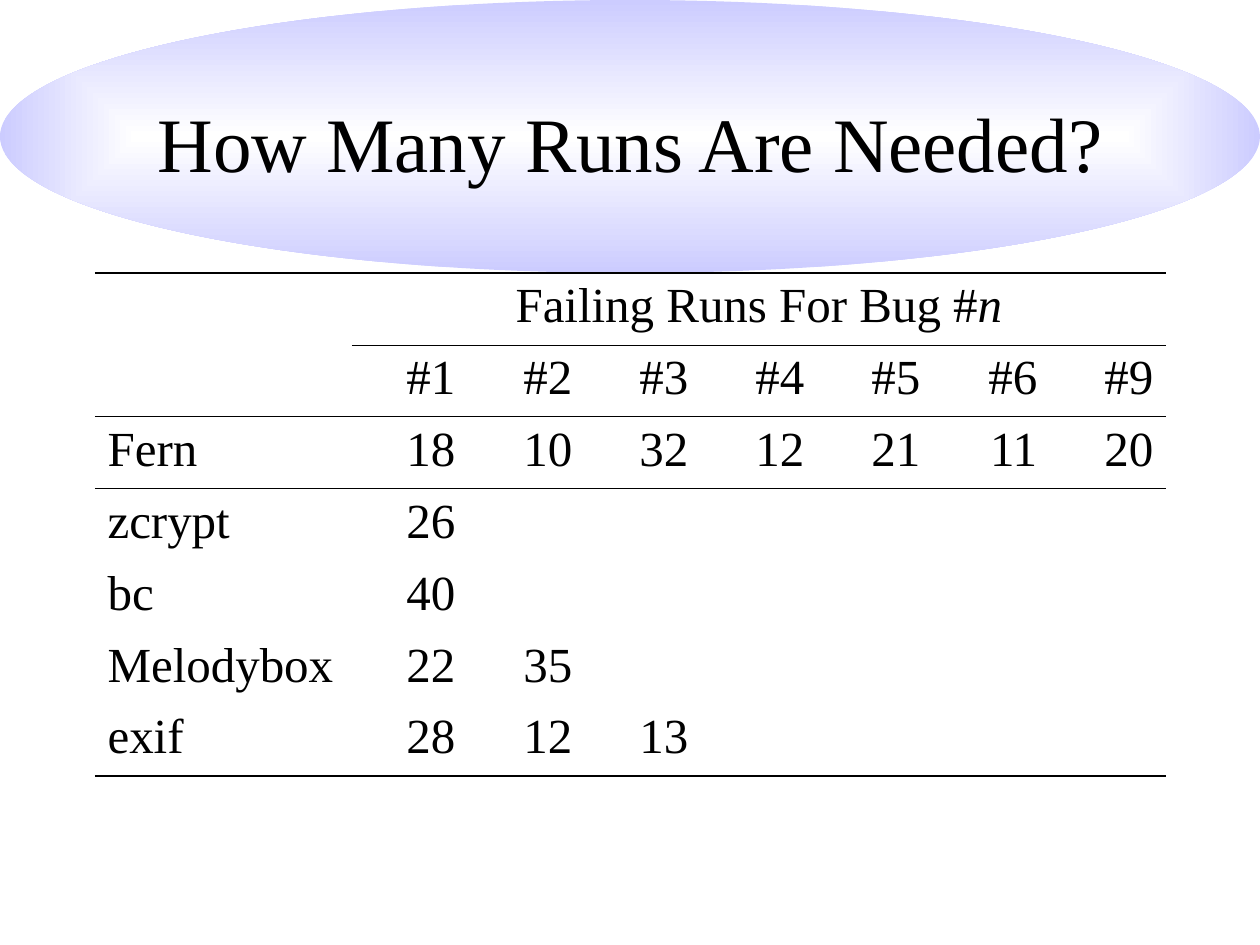
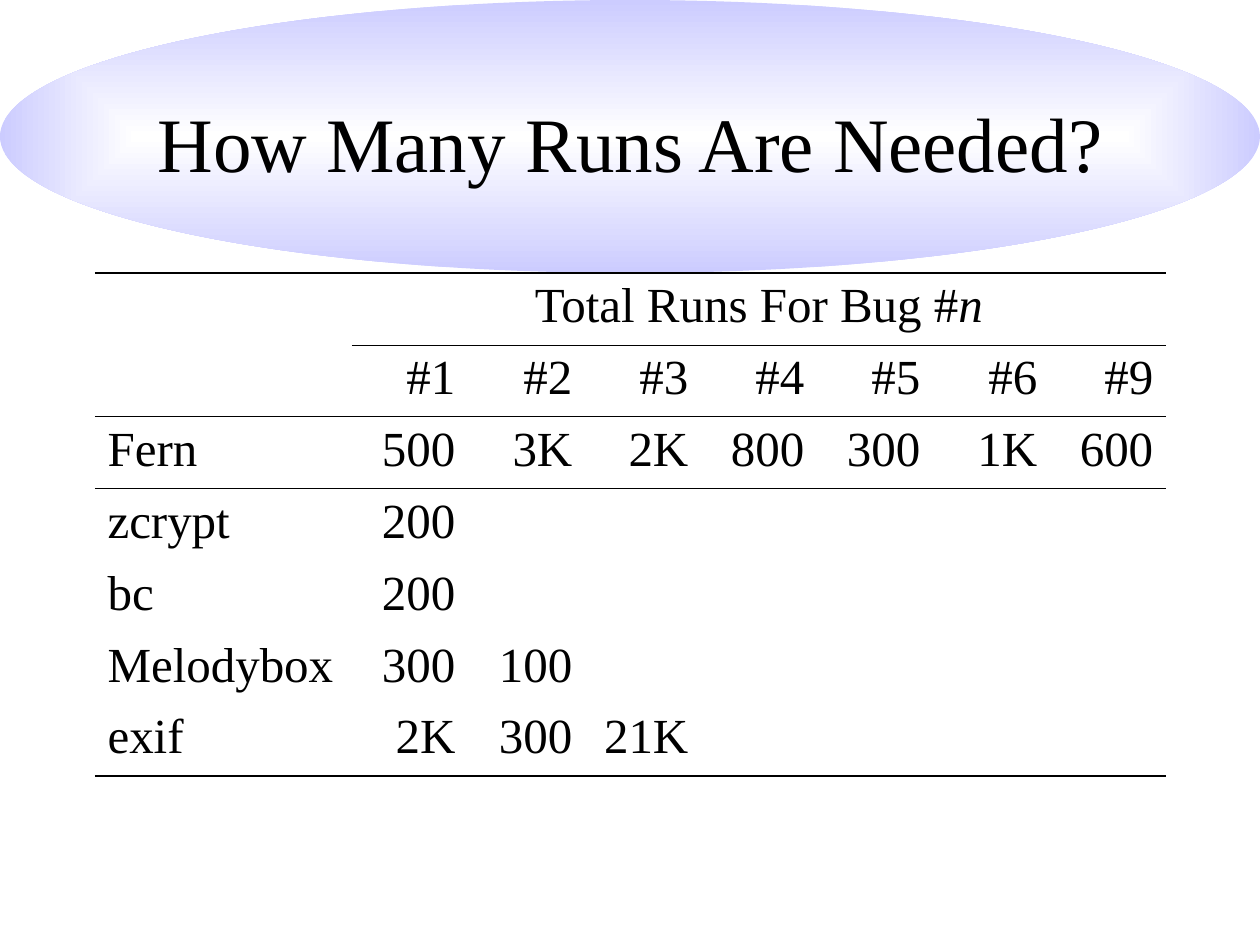
from dataclasses import dataclass

from lxml.etree import SubElement
from pptx import Presentation
from pptx.dml.color import RGBColor
from pptx.enum.shapes import MSO_SHAPE
from pptx.enum.text import MSO_ANCHOR, PP_ALIGN
from pptx.oxml import parse_xml
from pptx.oxml.ns import nsdecls, qn
from pptx.util import Pt

SCALE = 914400 / 126
PLAIN = "{2D5ABB26-0587-4C30-8999-92F81FD0307C}"


@dataclass(frozen=True)
class Theme:
    font: str = "Times New Roman"
    ink: str = "000000"
    core: str = "FFFFFF"
    rim: str = "CCCCFF"
    title: int = 44
    body: int = 28
    thick: float = 1.08
    thin: float = 0.45


THEME = Theme()
TITLE = "How Many Runs Are Needed?"
BUGS = ["#1", "#2", "#3", "#4", "#5", "#6", "#9"]
NAMES = ["Fern", "zcrypt", "bc", "Melodybox", "exif"]
FAILING = ["18 10 32 12 21 11 20", "26", "40", "22 35", "28 12 13"]
TOTAL = ["500 3K 2K 800 300 1K 600", "200", "200", "300 100", "2K 300 21K"]


def px(num):
    return round(num * SCALE)


def split(size, count):
    """Cut a length into whole px parts that add up to it."""
    ends = [round(size * i / count) for i in range(count + 1)]
    return [b - a for a, b in zip(ends, ends[1:])]


def write(para, text, size=THEME.body, align=PP_ALIGN.LEFT, italic=False):
    para.alignment = align
    run = para.add_run()
    run.text = text
    font = run.font
    font.name, font.size, font.italic = THEME.font, Pt(size), italic
    font.color.rgb = RGBColor.from_string(THEME.ink)


def add_oval(slide):
    oval = slide.shapes.add_shape(MSO_SHAPE.OVAL, 0, 0, px(1260), px(273))
    oval.shadow.inherit = False
    oval.line.fill.background()
    stops = "".join(
        f'<a:gs pos="{pos}"><a:srgbClr val="{tone}"/></a:gs>'
        for pos, tone in ((0, THEME.core), (100000, THEME.rim)))
    fill = parse_xml(
        f'<a:gradFill {nsdecls("a")} rotWithShape="1"><a:gsLst>{stops}</a:gsLst>'
        '<a:path path="rect"><a:fillToRect l="50000" t="50000" r="50000" '
        'b="50000"/></a:path></a:gradFill>')
    oval._element.spPr.find(qn("a:prstGeom")).addnext(fill)


def add_title(slide, text):
    box = slide.shapes.add_textbox(px(95), px(63), px(1071), px(158))
    frame = box.text_frame
    frame.word_wrap = True
    frame.vertical_anchor = MSO_ANCHOR.MIDDLE
    write(frame.paragraphs[0], text, size=THEME.title, align=PP_ALIGN.CENTER)


def rule(cell, side, width):
    """Draw one border of a cell; side is lnT or lnB."""
    line = SubElement(cell._tc.get_or_add_tcPr(), qn(f"a:{side}"), w=str(Pt(width)))
    fill = SubElement(line, qn("a:solidFill"))
    SubElement(fill, qn("a:srgbClr"), val=THEME.ink)


def edge(row, col, last):
    """Width of the line above a row, or None."""
    if row == 1:
        return THEME.thin if col else None
    return THEME.thick if row in (0, 2, last) else None


def add_grid(slide, head, data):
    rows = [[""], ["", *BUGS]]
    rows += [[name, *vals.split()] for name, vals in zip(NAMES, data)]
    count, cols = len(rows), len(BUGS) + 1
    frame = slide.shapes.add_table(count, cols, px(95), px(273), px(1071), px(502))
    grid = frame.table
    grid.first_row = grid.horz_banding = False
    grid._tbl.tblPr.find(qn("a:tableStyleId")).text = PLAIN
    for col, width in zip(grid.columns, [257, *split(814, len(BUGS))]):
        col.width = px(width)
    for row, height in zip(grid.rows, split(502, count)):
        row.height = px(height)

    for r, vals in enumerate(rows):
        for c in range(cols):
            cell = grid.cell(r, c)
            for side, at in (("lnT", r), ("lnB", r + 1)):
                width = edge(at, c, count)
                if width:
                    rule(cell, side, width)
            cell.fill.background()
            if c < len(vals) and vals[c]:
                align = PP_ALIGN.RIGHT if c else PP_ALIGN.LEFT
                write(cell.text_frame.paragraphs[0], vals[c], align=align)

    top = grid.cell(0, 1)
    top.merge(grid.cell(0, cols - 1))
    para = top.text_frame.paragraphs[0]
    write(para, f"{head} Runs For Bug #", align=PP_ALIGN.CENTER)
    write(para, "n", align=PP_ALIGN.CENTER, italic=True)


def main():
    deck = Presentation()
    deck.slide_width, deck.slide_height = px(1260), px(945)
    for head, data in (("Failing", FAILING), ("Total", TOTAL)):
        slide = deck.slides.add_slide(deck.slide_layouts[6])
        add_oval(slide)
        add_title(slide, TITLE)
        add_grid(slide, head, data)
    deck.save("out.pptx")


if __name__ == "__main__":
    main()
